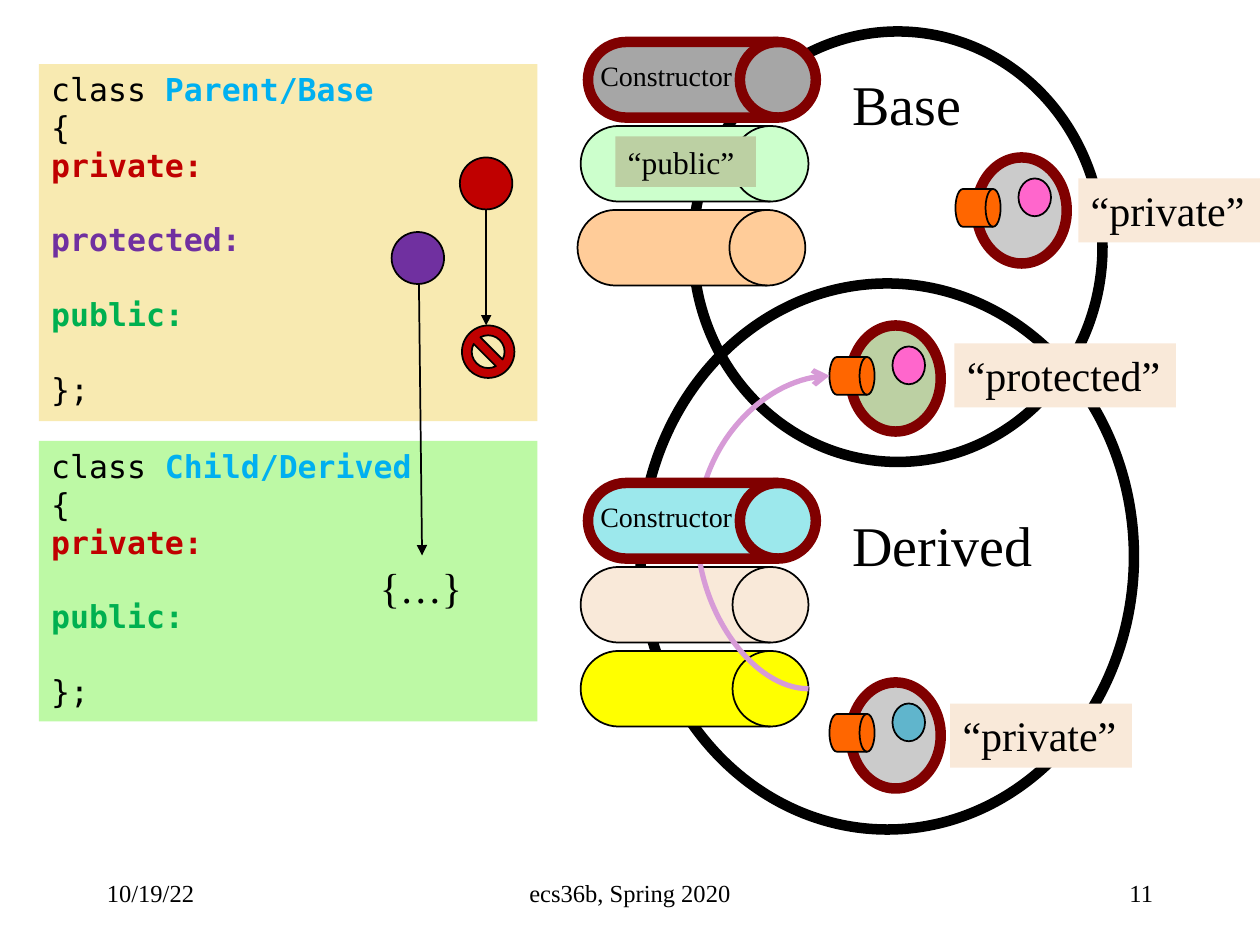
from lxml import etree
from pptx import Presentation
from pptx.dml.color import RGBColor
from pptx.enum.shapes import MSO_CONNECTOR, MSO_SHAPE
from pptx.enum.text import MSO_ANCHOR, PP_ALIGN
from pptx.oxml.ns import qn
from pptx.util import Inches, Pt

OVAL, DRUM, BAN = MSO_SHAPE.OVAL, MSO_SHAPE.FLOWCHART_DIRECT_ACCESS_STORAGE, MSO_SHAPE.NO_SYMBOL
STRAIGHT, CURVE = MSO_CONNECTOR.STRAIGHT, MSO_CONNECTOR.CURVE
LEFT, CENTER, RIGHT = PP_ALIGN.LEFT, PP_ALIGN.CENTER, PP_ALIGN.RIGHT
TOP, MIDDLE = MSO_ANCHOR.TOP, MSO_ANCHOR.MIDDLE

SERIF, MONO = "Times New Roman", "DejaVu Sans Mono"
BLACK = RGBColor(0x00, 0x00, 0x00)
MAROON = RGBColor(0x80, 0x00, 0x00)
RED = RGBColor(0xC0, 0x00, 0x00)
PURPLE = RGBColor(0x70, 0x30, 0xA0)
GREEN = RGBColor(0x00, 0xB0, 0x50)
BLUE = RGBColor(0x00, 0xB0, 0xF0)
SAND = RGBColor(0xF8, 0xEA, 0xB1)
LIME = RGBColor(0xBD, 0xF9, 0xA5)
CREAM = RGBColor(0xF9, 0xE9, 0xD9)
SAGE = RGBColor(0xBC, 0xD0, 0xA3)
MINT = RGBColor(0xCC, 0xFF, 0xCC)
PEACH = RGBColor(0xFF, 0xCC, 0x99)
YELLOW = RGBColor(0xFF, 0xFF, 0x00)
ORANGE = RGBColor(0xFF, 0x66, 0x00)
PINK = RGBColor(0xFF, 0x66, 0xCC)
TEAL = RGBColor(0x60, 0xB5, 0xCC)
AQUA = RGBColor(0x9C, 0xE8, 0xEC)
SILVER = RGBColor(0xCB, 0xCB, 0xCB)
GRAY = RGBColor(0xA6, 0xA6, 0xA6)
LILAC = RGBColor(0xD7, 0x9B, 0xD7)

KEYWORD_COLORS = {"private:": RED, "protected:": PURPLE, "public:": GREEN}
DRUM_SIZE = (21.7, 7.2)
DRUM_PITCH = 8


def grid(*cells):
    """Lengths on a grid of 120 columns by 90 rows, 12 to the inch."""
    return [Inches(cell / 12) for cell in cells]


def add_figure(page, kind, box, fill=None, line=BLACK, weight=1):
    figure = page.shapes.add_shape(kind, *grid(*box))
    figure.shadow.inherit = False
    if fill is None:
        figure.fill.background()
    else:
        figure.fill.solid()
        figure.fill.fore_color.rgb = fill
    figure.line.color.rgb = line
    figure.line.width = Pt(weight)


def add_label(page, text, box, size, fill=None, wrap=True, align=LEFT, anchor=TOP):
    label = page.shapes.add_textbox(*grid(*box))
    if fill is not None:
        label.fill.solid()
        label.fill.fore_color.rgb = fill
    frame = label.text_frame
    frame.word_wrap = wrap
    frame.vertical_anchor = anchor
    frame.text = text
    para = frame.paragraphs[0]
    para.alignment = align
    para.font.name, para.font.size, para.font.color.rgb = SERIF, Pt(size), BLACK


def add_arrow(page, kind, start, end, color=BLACK, weight=1, head="triangle"):
    arrow = page.shapes.add_connector(kind, *grid(*start, *end))
    arrow.line.color.rgb = color
    arrow.line.width = Pt(weight)
    etree.SubElement(arrow.line._get_or_add_ln(), qn("a:tailEnd"), type=head)
    properties = arrow._element.spPr
    etree.SubElement(properties, qn("a:effectLst"))
    return properties


def add_code(page, box, class_name, body, fill):
    """A class outline; each keyword leaves one free line below it."""
    panel = page.shapes.add_textbox(*grid(*box))
    panel.fill.solid()
    panel.fill.fore_color.rgb = fill
    frame = panel.text_frame
    frame.word_wrap = True
    frame.text = "\n".join(["class ", "{", *body, "};"])
    frame.paragraphs[0].add_run().text = class_name
    after_keyword = False
    for para in frame.paragraphs:
        if after_keyword:
            para.space_before = Pt(21)
        after_keyword = para.text in KEYWORD_COLORS
        for span in para.runs:
            color = BLUE if span.text == class_name else KEYWORD_COLORS.get(span.text, BLACK)
            span.font.name, span.font.size = MONO, Pt(18)
            span.font.color.rgb = color
            span.font.bold = color != BLACK


def add_access_marks(page, left, top):
    """Private is blocked at the child class; protected reaches it."""
    add_label(page, "{…}", (left - 2.3, top + 37.9, 10.3, 6.1), 24, wrap=False)
    add_figure(page, OVAL, (left, top + 7.1, 5, 4.95), PURPLE)
    add_arrow(page, STRAIGHT, (left + 2.6, top + 12), (left + 2.9, top + 37.9))
    add_figure(page, OVAL, (left + 6.5, top, 5, 4.95), RED)
    add_arrow(page, STRAIGHT, (left + 9, top + 4.9), (left + 9, top + 16))
    add_figure(page, BAN, (left + 6.7, top + 16, 5, 5), RED)


def add_class_ring(page, box, title, title_top):
    add_figure(page, OVAL, box, weight=6)
    add_label(page, title, (80, title_top, 22, 7.7), 32)


def add_methods(page, top, drums):
    """Plain drums stacked below the constructor's row."""
    for row, (left, fill) in enumerate(drums, start=1):
        add_figure(page, DRUM, (left, top + row * DRUM_PITCH, *DRUM_SIZE), fill)


def add_constructor(page, left, top, fill):
    add_figure(page, DRUM, (left, top, *DRUM_SIZE), fill, MAROON, 6)
    add_label(page, "Constructor", (left, top + 1, 18, 4.4), 16)


def add_member(page, left, top, fill, core):
    """A data member: body, access drum and core."""
    add_figure(page, OVAL, (left + 2, top, 8.6, 10.1), fill, MAROON, 6)
    add_figure(page, DRUM, (left, top + 3, 4.3, 3.6), ORANGE)
    add_figure(page, OVAL, (left + 6, top + 2, 3.1, 3.6), core)


def add_access_curve(page, start, end, bulge):
    """Curve from a derived method to the protected member, out to column bulge."""
    properties = add_arrow(page, CURVE, start, end, LILAC, 3, "arrow")
    guides = properties.find(qn("a:prstGeom")).find(qn("a:avLst"))
    share = round((bulge - start[0]) / (end[0] - start[0]) * 100000)
    etree.SubElement(guides, qn("a:gd"), name="adj1", fmla=f"val {share}")


def add_class_diagram(page):
    # Base class
    add_class_ring(page, (66, 3, 39, 41), "Base", 6)
    add_methods(page, 4, [(55.3, MINT), (55, PEACH)])
    add_constructor(page, 56, 4, GRAY)
    add_member(page, 91, 15, SILVER, PINK)
    add_member(page, 79, 31, SAGE, PINK)

    # Derived class
    add_class_ring(page, (61, 27, 47, 52), "Derived", 48)
    add_methods(page, 46, [(55.3, CREAM), (55.3, YELLOW)])
    add_member(page, 79, 65, SILVER, TEAL)
    add_access_curve(page, (77, 65.6), (79, 35.8), 66.4)
    add_constructor(page, 56, 46, AQUA)

    # Access labels
    add_label(page, "“public”", (58.6, 13, 13.4, 4.8), 18, SAGE)
    for text, left, top, width in [("“private”", 102.7, 17, 17.3),
                                   ("“protected”", 90.9, 32.7, 21.1),
                                   ("“private”", 90.5, 67, 17.3)]:
        add_label(page, text, (left, top, width, 6.1), 24, CREAM, wrap=False)


def add_footer(page, top):
    for text, left, width, align in [("10/19/22", 9, 25, LEFT),
                                     ("ecs36b, Spring 2020", 41, 38, CENTER),
                                     ("11", 86, 25, RIGHT)]:
        add_label(page, text, (left, top, width, 6), 14, align=align, anchor=MIDDLE)


def main():
    deck = Presentation()
    deck.slide_width, deck.slide_height = grid(120, 90)
    page = deck.slides.add_slide(deck.slide_layouts[6])
    add_class_diagram(page)
    add_code(page, (3.7, 6.1, 47.5, 34), "Parent/Base",
             ["private:", "protected:", "public:"], SAND)
    add_code(page, (3.7, 42, 47.5, 26.7), "Child/Derived", ["private:", "public:"], LIME)
    add_access_marks(page, 37.3, 15)
    add_footer(page, 82)
    deck.save("out.pptx")


if __name__ == "__main__":
    main()
